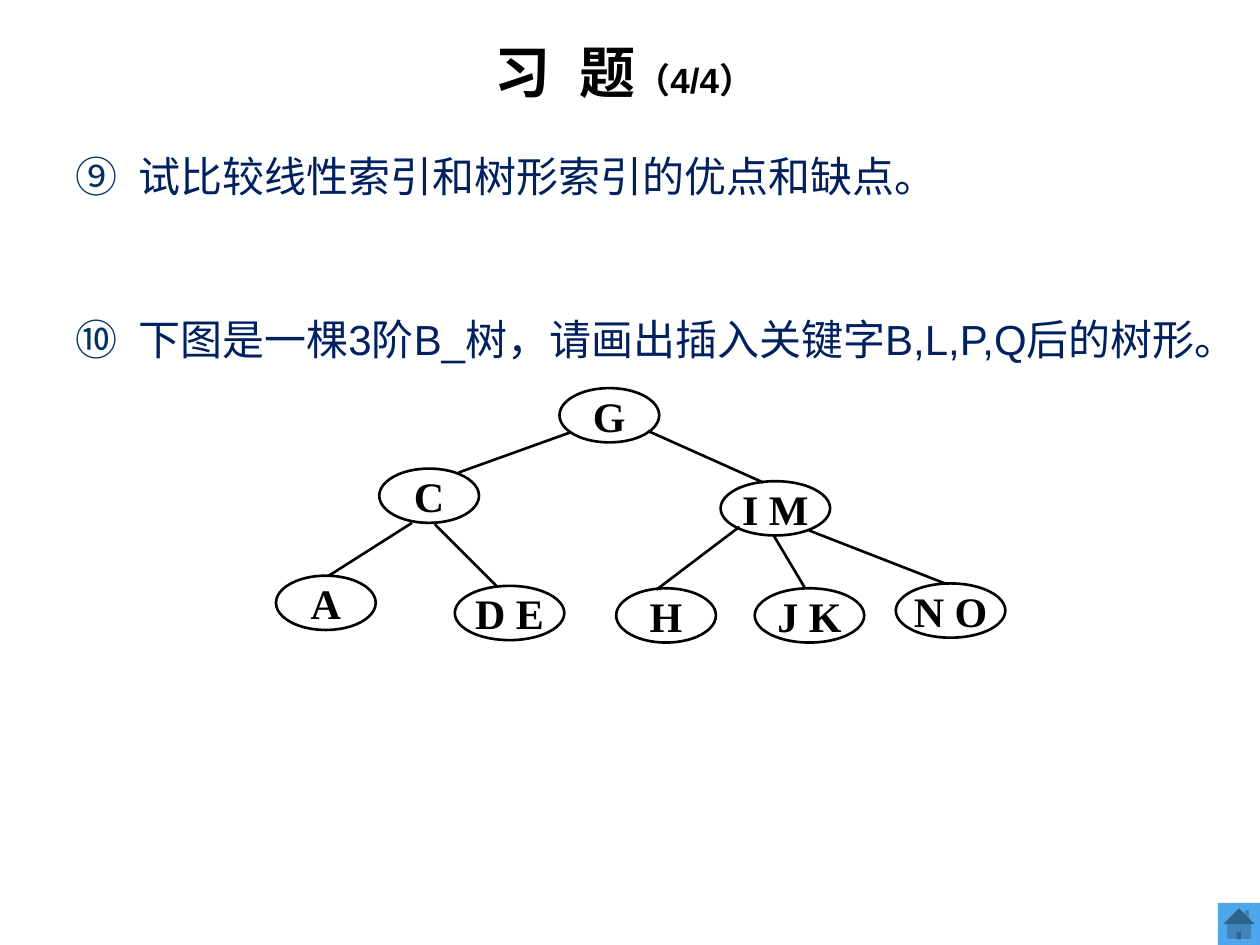
import pptx
import pptx.util
import pptx.dml.color
import pptx.enum.shapes
import pptx.enum.text
import pptx.oxml.ns
import lxml.etree

Pt = pptx.util.Pt
SHAPE = pptx.enum.shapes.MSO_SHAPE
ANCHOR = pptx.enum.text.MSO_ANCHOR
ALIGN = pptx.enum.text.PP_ALIGN
qn = pptx.oxml.ns.qn

COLORS = {"ink": "000000", "text": "002060", "mark": "003366", "home": "4EA7EA"}

# Text, size, letter spacing in points
TITLE = [("习", 32, 0), (" ", 32, 9), ("题", 32, 0), ("（4/4）", 20, 0)]
# Text, space before
TASKS = [
    ("试比较线性索引和树形索引的优点和缺点。", 0),
    ("下图是一棵3阶B_树，请画出插入关键字B,L,P,Q后的树形。", 58.5),
]
FIRST = 9
INDENT = 36

# Keys, left, top
NODES = [
    ("G", 319.7, 221.8),
    ("C", 216.7, 267.8),
    ("I M", 411.8, 275),
    ("A", 157.7, 329),
    ("D E", 259.9, 334.8),
    ("H", 352.1, 336.2),
    ("J K", 431.3, 336.2),
    ("N O", 511.9, 333.4),
]
NODE_H = 31
ONE_W, TWO_W = 57, 62.6

# Start x, start y, end x, end y
EDGES = [
    (326.2, 247, 262.1, 270),
    (370.1, 246.2, 436.3, 275.8),
    (235.4, 298.8, 187.9, 329),
    (248.4, 299.5, 284.4, 335.5),
    (422.6, 301, 375.1, 337),
    (442.1, 306, 460.1, 336.2),
    (462.2, 303.1, 540, 333.4),
]
HOME = 24


def color(name):
    return pptx.dml.color.RGBColor.from_string(COLORS[name])


def style(font, size, name, hue, bold=False):
    font.size = Pt(size)
    font.name = name
    font.bold = bold
    font.color.rgb = color(hue)


def add_mark(par):
    """Give a paragraph a circled number and a hanging indent."""
    props = par._p.get_or_add_pPr()
    props.set("marL", str(Pt(INDENT)))
    props.set("indent", str(-Pt(INDENT)))
    tint = lxml.etree.SubElement(props, qn("a:buClr"))
    lxml.etree.SubElement(tint, qn("a:srgbClr"), val=COLORS["mark"])
    lxml.etree.SubElement(
        props, qn("a:buAutoNum"), type="circleNumDbPlain", startAt=str(FIRST)
    )


def add_title(slide):
    title = slide.shapes.title
    title.left, title.top, title.width, title.height = map(Pt, (77.8, 21.6, 558, 38.2))
    frame = title.text_frame
    frame.vertical_anchor = ANCHOR.MIDDLE
    par = frame.paragraphs[0]
    par.alignment = ALIGN.CENTER
    for text, size, gap in TITLE:
        run = par.add_run()
        run.text = text
        style(run.font, size, "Arial", "ink", True)
        if gap:
            run.font._element.set("spc", str(gap * 100))


def add_tasks(slide):
    box = slide.shapes.add_textbox(*map(Pt, (36, 77, 660, 427)))
    frame = box.text_frame
    frame.word_wrap = True
    for i, (text, space) in enumerate(TASKS):
        par = frame.paragraphs[0] if i == 0 else frame.add_paragraph()
        par.text = text
        par.line_spacing = 1.2
        par.space_before = Pt(space)
        add_mark(par)
        style(par.runs[0].font, 24, "Arial", "text")


def add_node(tree, keys, left, top):
    width = TWO_W if " " in keys else ONE_W
    node = tree.shapes.add_shape(SHAPE.OVAL, *map(Pt, (left, top, width, NODE_H)))
    node.shadow.inherit = False
    node.fill.background()
    node.line.color.rgb = color("ink")
    node.line.width = Pt(1.5)
    frame = node.text_frame
    frame.word_wrap = False
    frame.vertical_anchor = ANCHOR.MIDDLE
    frame.margin_left = frame.margin_right = frame.margin_top = frame.margin_bottom = 0
    frame.text = keys
    par = frame.paragraphs[0]
    par.alignment = ALIGN.CENTER
    style(par.runs[0].font, 24, "Times New Roman", "ink", True)


def add_edge(tree, ends):
    edge = tree.shapes.add_connector(
        pptx.enum.shapes.MSO_CONNECTOR.STRAIGHT, *map(Pt, ends)
    )
    edge.line.color.rgb = color("ink")
    edge.line.width = Pt(1.5)
    lxml.etree.SubElement(edge._element.spPr, qn("a:effectLst"))


def add_home(slide):
    home = slide.shapes.add_shape(
        SHAPE.ACTION_BUTTON_HOME, *map(Pt, (720 - HOME, 540 - HOME, HOME, HOME))
    )
    home.shadow.inherit = False
    home.fill.solid()
    home.fill.fore_color.rgb = color("home")
    home.line.fill.background()


def main():
    deck = pptx.Presentation()
    deck.slide_width, deck.slide_height = Pt(720), Pt(540)
    slide = deck.slides.add_slide(deck.slide_layouts[5])
    add_title(slide)
    add_tasks(slide)
    tree = slide.shapes.add_group_shape()
    for node in NODES:
        add_node(tree, *node)
    for ends in EDGES:
        add_edge(tree, ends)
    add_home(slide)
    deck.save("out.pptx")


if __name__ == "__main__":
    main()
